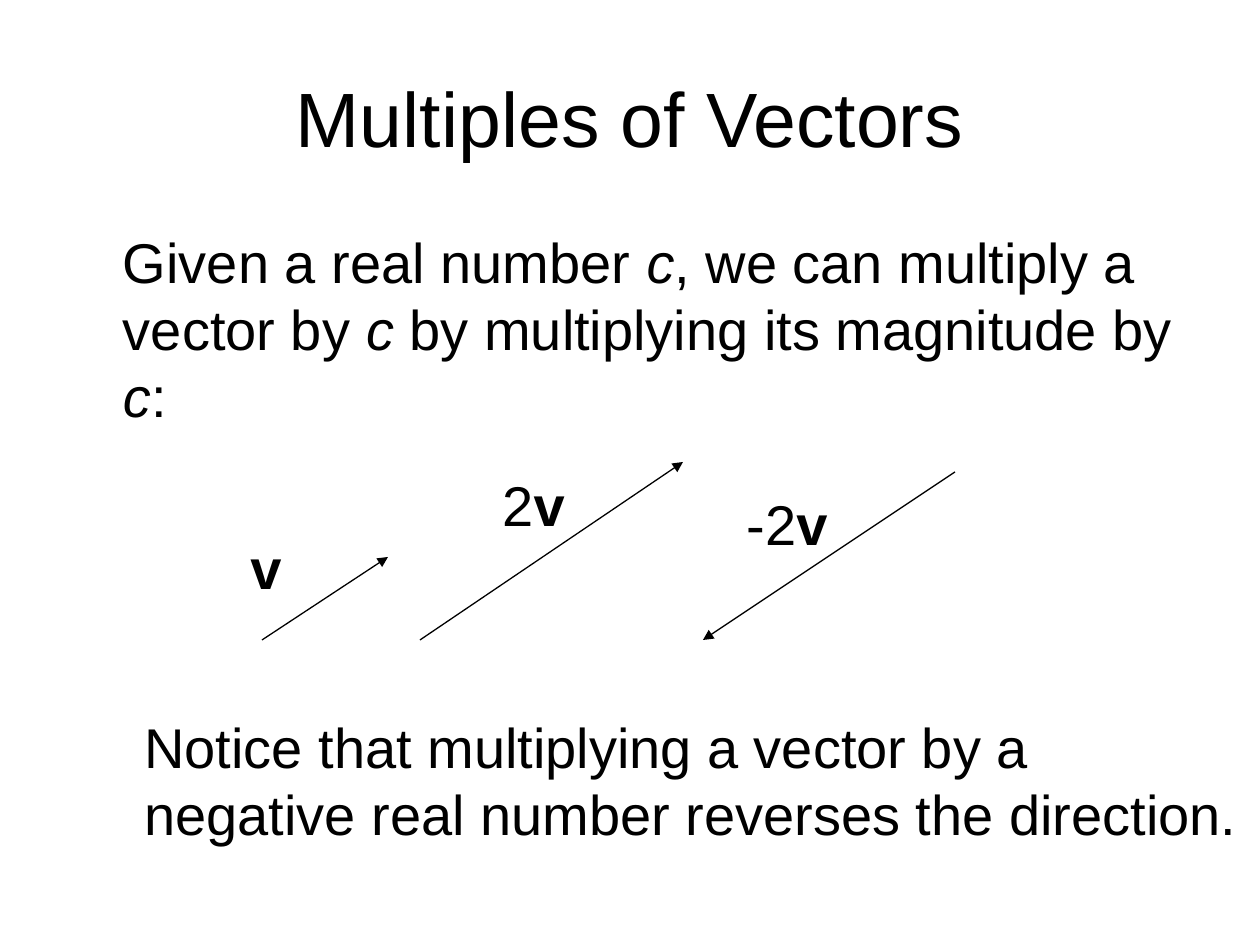
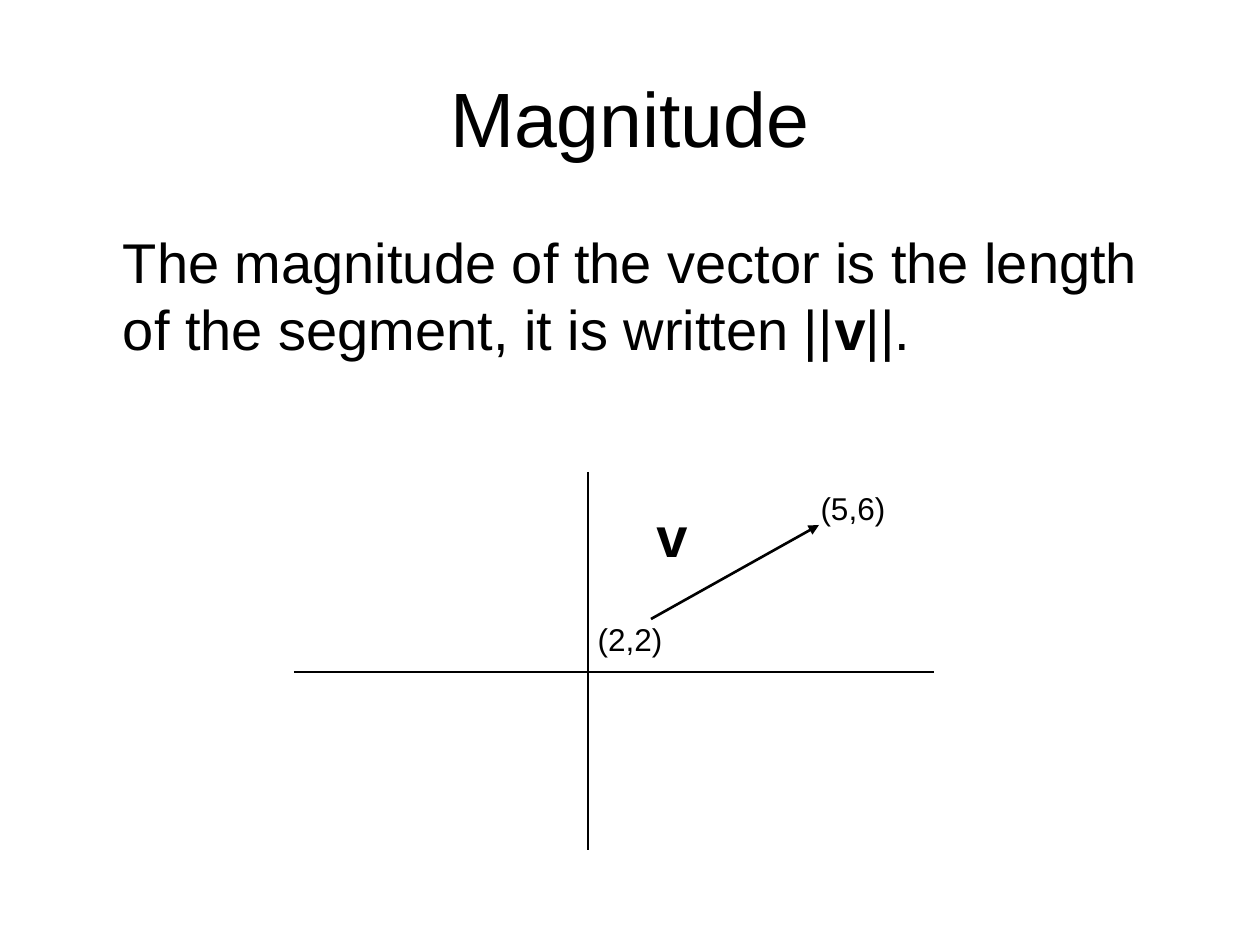
from dataclasses import dataclass

from pptx import Presentation
from pptx.dml.color import RGBColor
from pptx.enum.shapes import MSO_CONNECTOR
from pptx.enum.text import MSO_ANCHOR, MSO_AUTO_SIZE, PP_ALIGN
from pptx.oxml.ns import qn
from pptx.util import Emu, Pt
from lxml.etree import SubElement

PX_PER_INCH = 126


@dataclass(frozen=True)
class Theme:
    font: str = "Arial"
    ink: RGBColor = RGBColor(0, 0, 0)
    paper: RGBColor = RGBColor(255, 255, 255)
    title: int = 44
    body: int = 32
    point: int = 18
    thin: float = 0.75
    thick: float = 1.5


THEME = Theme()
TITLE_BOX = (63, 38, 1134, 157)
BODY_BOX = (63, 221, 1134, 624)
BODY_INDENT = 60

# A paragraph is a list of (text, style) runs; style is "", "b" or "i".
# Labels: box, paragraphs, size, alignment. Lines: start, end, width, arrow.
SLIDES = [
    {
        "title": "Multiples of Vectors",
        "body": [("Given a real number ", ""), ("c", "i"),
                 (", we can multiply a vector by ", ""), ("c", "i"),
                 (" by multiplying its magnitude by ", ""), ("c", "i"), (":", "")],
        "lines": [
            ((262, 640), (388, 557), THEME.thin, True),
            ((420, 640), (683, 462), THEME.thin, True),
            ((955, 472), (703, 640), THEME.thin, True),
        ],
        "labels": [
            ((238, 527, 60, 80), [[("v", "b")]], THEME.body, PP_ALIGN.LEFT),
            ((490, 464, 91, 80), [[("2", ""), ("v", "b")]], THEME.body, PP_ALIGN.LEFT),
            ((734, 483, 110, 80), [[("-2", ""), ("v", "b")]], THEME.body, PP_ALIGN.LEFT),
            ((132, 706, 1122, 147),
             [[("Notice that multiplying a vector by a", "")],
              [("negative real number reverses the direction.", "")]],
             THEME.body, PP_ALIGN.LEFT),
        ],
    },
    {
        "title": "Magnitude",
        "body": [("The magnitude of the vector is the length of the segment, "
                  "it is written ||", ""), ("v", "b"), ("||.", "")],
        "lines": [
            ((588, 472), (588, 850), THEME.thin, False),
            ((294, 672), (934, 672), THEME.thin, False),
            ((651, 619), (819, 525), THEME.thick, True),
        ],
        "labels": [
            ((642, 495, 60, 80), [[("v", "b")]], THEME.body, PP_ALIGN.CENTER),
            ((580, 614, 100, 50), [[("(2,2)", "")]], THEME.point, PP_ALIGN.CENTER),
            ((803, 483, 100, 50), [[("(5,6)", "")]], THEME.point, PP_ALIGN.CENTER),
        ],
    },
]


def px(n):
    return Emu(round(n * 914400 / PX_PER_INCH))


def write(tf, paragraphs, size, align):
    for i, runs in enumerate(paragraphs):
        p = tf.paragraphs[0] if i == 0 else tf.add_paragraph()
        p.alignment = align
        for text, style in runs:
            r = p.add_run()
            r.text = text
            r.font.name = THEME.font
            r.font.size = Pt(size)
            r.font.color.rgb = THEME.ink
            r.font.bold = style == "b"
            r.font.italic = style == "i"


def add_title(s, text):
    sp = s.shapes.title
    sp.left, sp.top, sp.width, sp.height = map(px, TITLE_BOX)
    sp.text_frame.vertical_anchor = MSO_ANCHOR.MIDDLE
    write(sp.text_frame, [[(text, "")]], THEME.title, PP_ALIGN.CENTER)


def add_body(s, runs):
    tf = s.shapes.add_textbox(*map(px, BODY_BOX)).text_frame
    tf.word_wrap = True
    tf.margin_left = px(BODY_INDENT)
    write(tf, [runs], THEME.body, PP_ALIGN.LEFT)


def add_label(s, box, paragraphs, size, align):
    tf = s.shapes.add_textbox(*map(px, box)).text_frame
    tf.word_wrap = False
    tf.auto_size = MSO_AUTO_SIZE.SHAPE_TO_FIT_TEXT
    write(tf, paragraphs, size, align)


def add_line(s, start, end, width, arrow):
    line = s.shapes.add_connector(MSO_CONNECTOR.STRAIGHT, *map(px, start + end))
    line.line.color.rgb = THEME.ink
    line.line.width = Pt(width)
    spPr = line._element.spPr
    if arrow:
        SubElement(spPr.find(qn("a:ln")), qn("a:tailEnd"), type="triangle")
    SubElement(spPr, qn("a:effectLst"))


def main():
    prs = Presentation()
    prs.slide_width, prs.slide_height = px(1260), px(945)
    for content in SLIDES:
        s = prs.slides.add_slide(prs.slide_layouts[5])
        s.background.fill.solid()
        s.background.fill.fore_color.rgb = THEME.paper
        add_title(s, content["title"])
        add_body(s, content["body"])
        for line in content["lines"]:
            add_line(s, *line)
        for label in content["labels"]:
            add_label(s, *label)
    prs.save("out.pptx")


if __name__ == "__main__":
    main()
